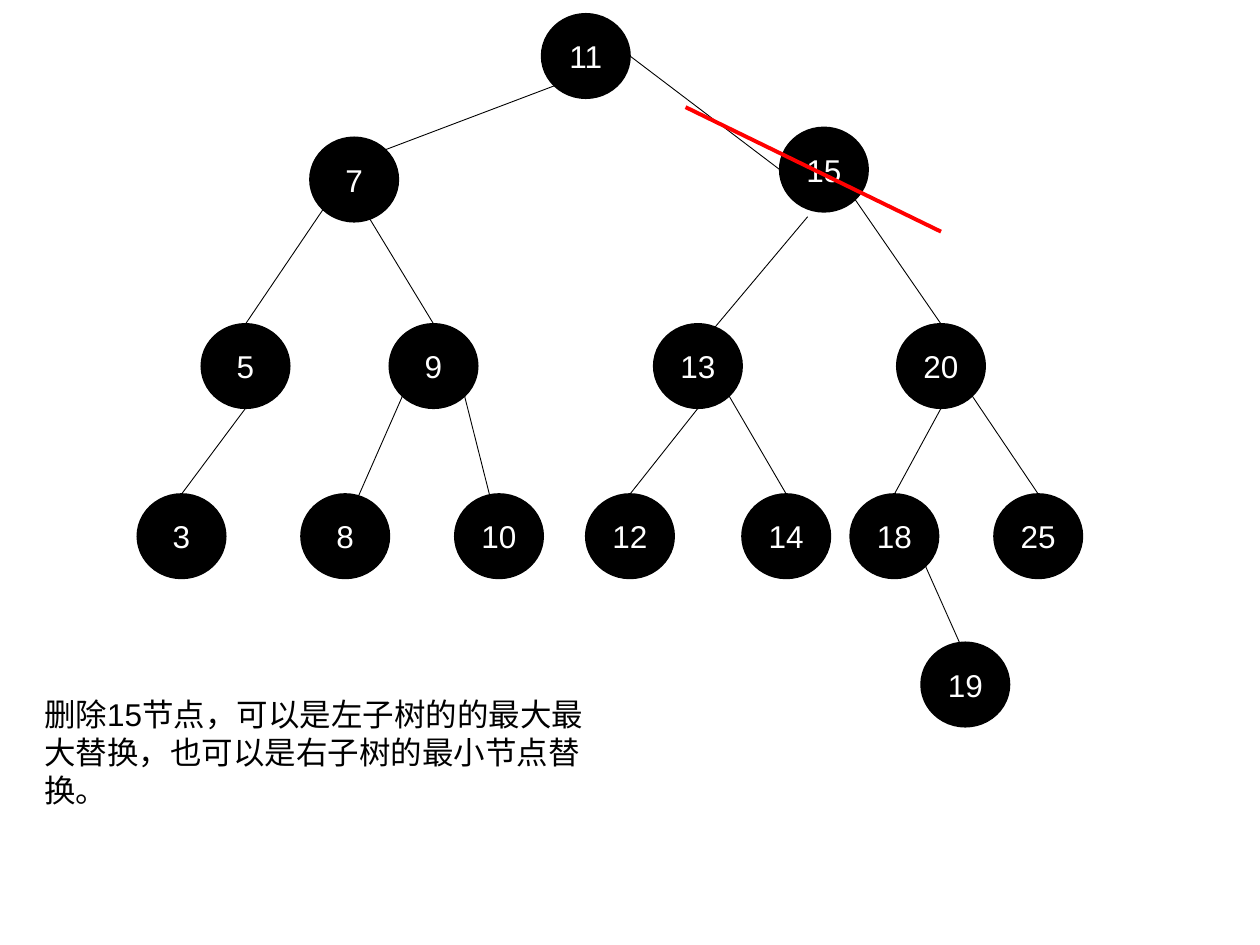
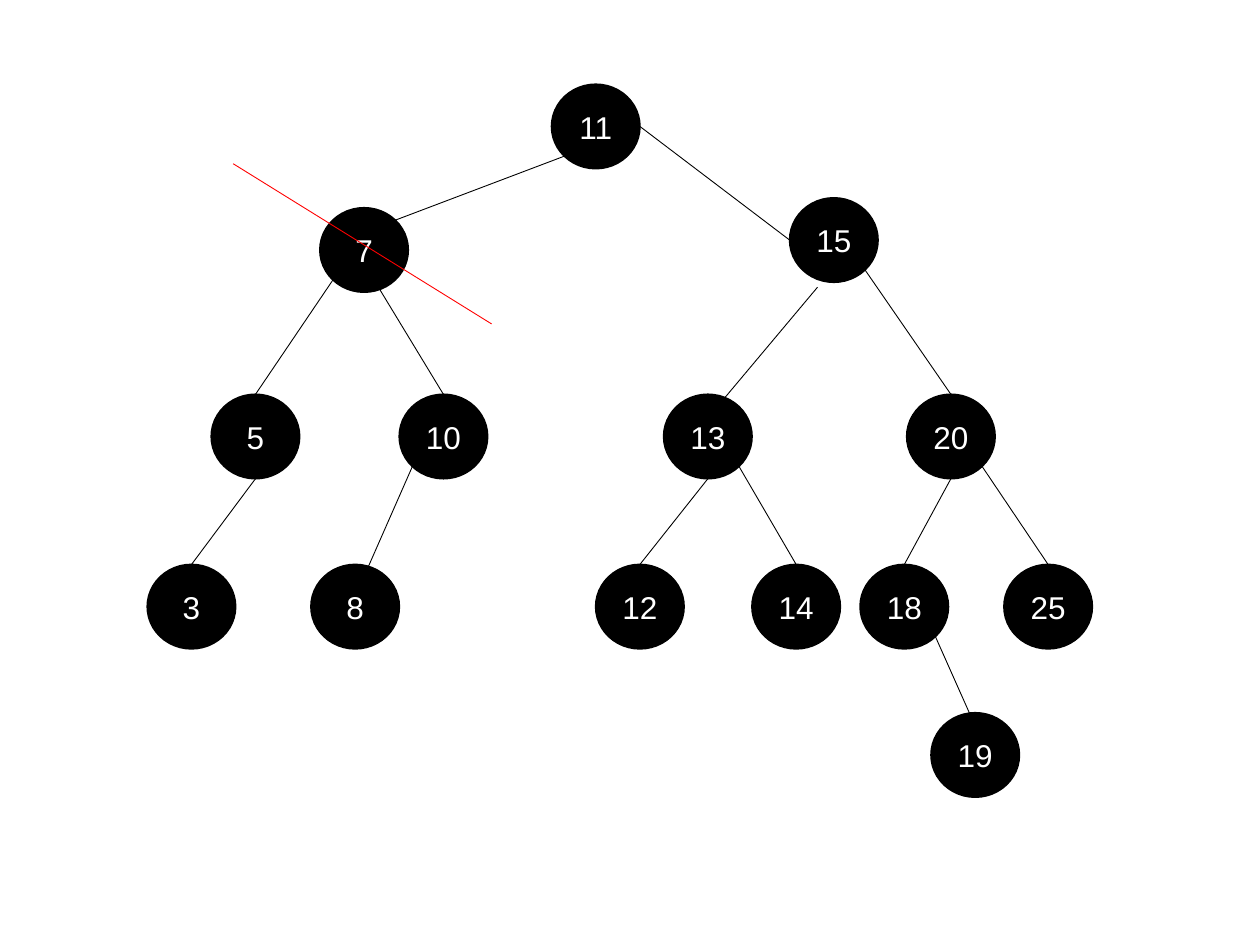
import pptx
import pptx.util
import pptx.dml.color
import pptx.enum.shapes
import pptx.enum.text
import pptx.oxml.ns
import lxml.etree

Cm, Pt = pptx.util.Cm, pptx.util.Pt

# Node centres in cm, by key
ROW_3, ROW_4 = 7.38, 10.81
NODES = {
    11: (11.81, 1.13), 7: (7.14, 3.62), 15: (16.61, 3.42),
    5: (4.95, ROW_3), 9: (8.74, ROW_3), 13: (14.07, ROW_3), 20: (18.97, ROW_3),
    3: (3.66, ROW_4), 8: (6.96, ROW_4), 10: (10.06, ROW_4), 12: (12.7, ROW_4),
    14: (15.85, ROW_4), 18: (18.03, ROW_4), 25: (20.93, ROW_4),
    19: (19.46, 13.8),
}
NODE_W, NODE_H = 1.78, 1.7

# Points on a node, as offsets in cm from its centre
DIAG_X, DIAG_Y = 0.35 * NODE_W, 0.35 * NODE_H
TOP, BOTTOM = (0, -NODE_H / 2), (0, NODE_H / 2)
LEFT, RIGHT = (-NODE_W / 2, 0), (NODE_W / 2, 0)
LOWER_LEFT, LOWER_RIGHT = (-DIAG_X, DIAG_Y), (DIAG_X, DIAG_Y)

# Parent, point on parent, child, point on child
EDGES = [
    (11, LOWER_LEFT, 7, (0.36, -0.5)),
    (11, RIGHT, 15, LEFT),
    (15, LOWER_RIGHT, 20, TOP),
    (20, LOWER_RIGHT, 25, TOP),
    (7, LOWER_LEFT, 5, TOP),
    (7, (0.3, 0.77), 9, TOP),
    (15, (-0.33, 0.95), 13, (0.23, -0.65)),
    (5, BOTTOM, 3, TOP),
    (9, LOWER_RIGHT, 10, (-0.15, -0.67)),
    (9, LOWER_LEFT, 8, (0.13, -0.5)),
    (13, BOTTOM, 12, TOP),
    (13, LOWER_RIGHT, 14, TOP),
    (20, BOTTOM, 18, TOP),
    (18, LOWER_RIGHT, 19, (0.05, -0.47)),
]


def color(hex_string):
    return pptx.dml.color.RGBColor.from_string(hex_string)


class Deck:
    font, size = "Arial", 18
    ink, paper, strike = "000000", "FFFFFF", "FF0000"

    def __init__(self):
        self.prs = pptx.Presentation()
        self.prs.slide_width, self.prs.slide_height = Cm(25.4), Cm(19.05)
        self.s = None

    def slide(self):
        self.s = self.prs.slides.add_slide(self.prs.slide_layouts[6])

    def set_text(self, tf, text, hex_string):
        tf.word_wrap = True
        tf.text = text
        for r in tf.paragraphs[0].runs:
            r.font.name, r.font.size = self.font, Pt(self.size)
            r.font.color.rgb = color(hex_string)

    def node(self, label, x, y):
        sp = self.s.shapes.add_shape(
            pptx.enum.shapes.MSO_SHAPE.OVAL,
            Cm(x - NODE_W / 2), Cm(y - NODE_H / 2), Cm(NODE_W), Cm(NODE_H))
        sp.shadow.inherit = False
        sp.fill.solid()
        sp.fill.fore_color.rgb = color(self.ink)
        sp.line.color.rgb = color(self.ink)
        sp.line.width = Pt(1)
        tf = sp.text_frame
        self.set_text(tf, label, self.paper)
        tf.vertical_anchor = pptx.enum.text.MSO_ANCHOR.MIDDLE
        tf.paragraphs[0].alignment = pptx.enum.text.PP_ALIGN.CENTER
        return sp

    def line(self, start, end, hex_string=ink, width=0.5):
        cn = self.s.shapes.add_connector(
            pptx.enum.shapes.MSO_CONNECTOR.STRAIGHT,
            *(Cm(v) for v in (*start, *end)))
        cn.line.color.rgb = color(hex_string)
        cn.line.width = Pt(width)
        lxml.etree.SubElement(cn._element.spPr, pptx.oxml.ns.qn("a:effectLst"))
        return cn

    def tree(self, dx=0, dy=0, removed=(), relabelled=None):
        labels = relabelled or {}
        centres = {key: (x + dx, y + dy) for key, (x, y) in NODES.items()
                   if key not in removed}
        shapes = {key: self.node(str(labels.get(key, key)), *centre)
                  for key, centre in centres.items()}
        for parent, out, child, into in EDGES:
            if child in removed:
                continue
            (px, py), (cx, cy) = centres[parent], centres[child]
            cn = self.line((px + out[0], py + out[1]), (cx + into[0], cy + into[1]))
            if into == TOP:
                cn.end_connect(shapes[child], 0)

    def note(self, text, x, y, w, h):
        tf = self.s.shapes.add_textbox(Cm(x), Cm(y), Cm(w), Cm(h)).text_frame
        self.set_text(tf, text, self.ink)
        tf.auto_size = pptx.enum.text.MSO_AUTO_SIZE.SHAPE_TO_FIT_TEXT


def main():
    deck = Deck()

    # Deleting node 15
    deck.slide()
    deck.tree()
    deck.line((13.82, 2.16), (18.97, 4.67), deck.strike, 2.25)
    deck.note("删除15节点，可以是左子树的的最大最大替换，也可以是右子树的最小节点替换。",
              0.64, 13.89, 11.56, 2.54)

    # Deleting node 7, with 10 in the place of 9
    deck.slide()
    deck.tree(dx=0.2, dy=1.42, removed=(10,), relabelled={9: 10})
    deck.line((4.7, 3.3), (9.91, 6.53), deck.strike)

    deck.prs.save("out.pptx")


if __name__ == "__main__":
    main()
